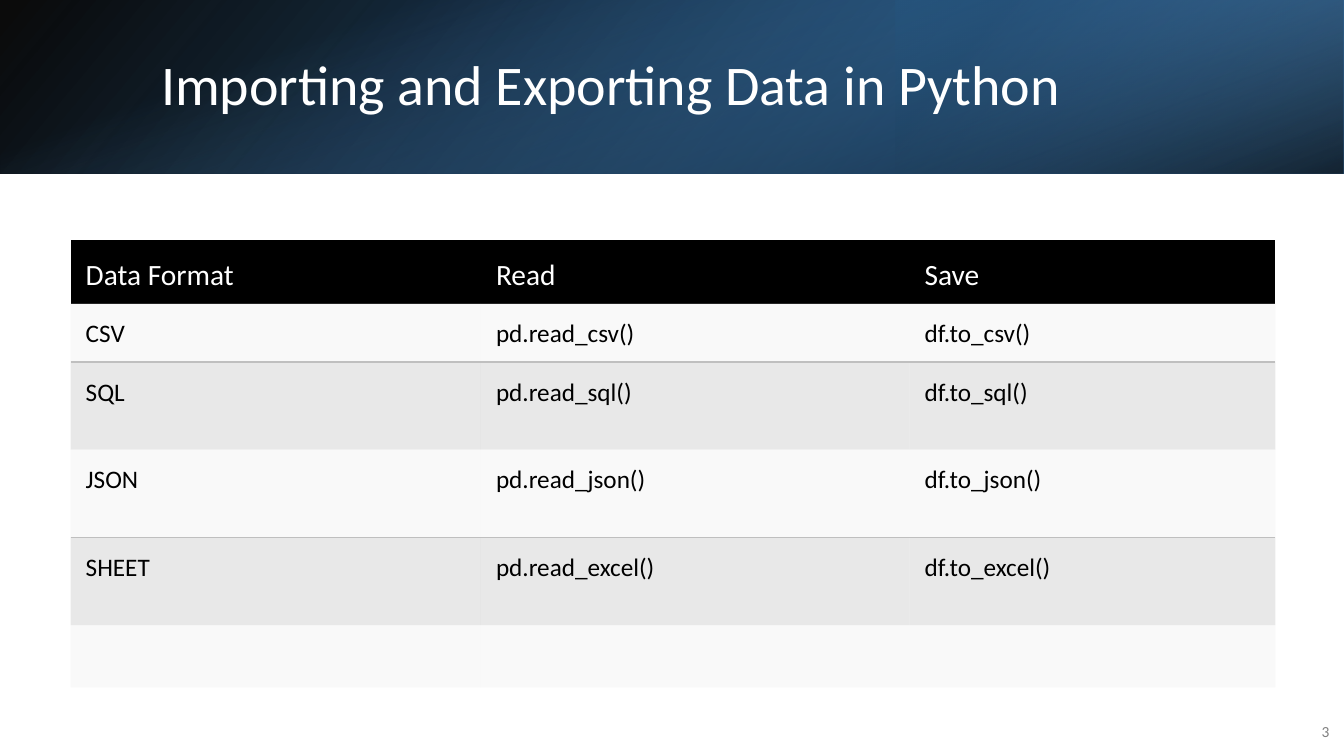
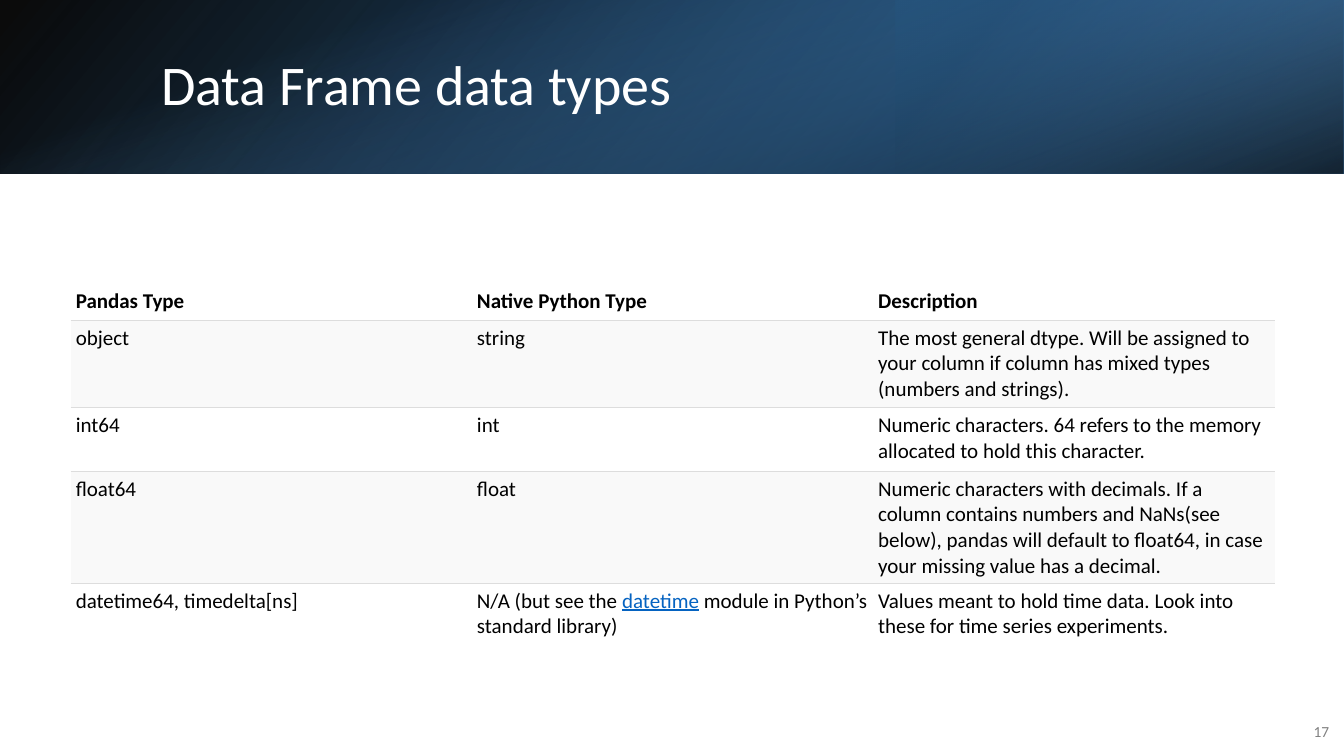
import pptx
import pptx.util
import pptx.dml.color
import pptx.enum.shapes
import pptx.enum.text
import pptx.oxml
import pptx.oxml.ns
from dataclasses import dataclass

Cm, Pt = pptx.util.Cm, pptx.util.Pt
ANCHOR, ALIGN = pptx.enum.text.MSO_ANCHOR, pptx.enum.text.PP_ALIGN


@dataclass(frozen=True)
class Theme:
    """Colours, font and type sizes of the deck."""
    font: str = "Calibri"
    black: str = "000000"
    white: str = "FFFFFF"
    grey: str = "808080"
    link: str = "0563C1"
    title: int = 40
    number: int = 11


T = Theme()
SLIDE_W, SLIDE_H, BAND_H, ACCENT_W = 33.87, 19.05, 4.37, 11.29
TABLE_LEFT = 1.78
NO_STYLE = "{2D5ABB26-0587-4C30-8999-92F81FD0307C}"

# Band layers: left, top, width, height, rotation, flipped, angle, stops (position, colour, alpha)
BAND = [
    (0, 0, SLIDE_W, BAND_H, 0, True, 140, [(0, "000000", 96), (100, "2E75B6", 100)]),
    (SLIDE_W - ACCENT_W, 0, ACCENT_W, BAND_H, 180, True, 320,
     [(19, "1F4E79", 68), (100, "5B9BD5", 79)]),
    ((SLIDE_W - BAND_H) / 2, (BAND_H - SLIDE_W) / 2, BAND_H, SLIDE_W, 90, False, 340,
     [(23, "5B9BD5", 0), (99, "000000", 74)]),
]

# Cells hold a string or a list of (text, is_link) runs; fills are (colour, alpha).
SLIDES = [
    dict(
        title="Importing and Exporting Data in Python", number="3", top=6.05,
        cols=[10.34, 10.8, 9.22], rows=[1.6, 1.47, 2.21, 2.21, 2.21, 1.57],
        pads=(0.38, 0.38, 0.38, 0.18),
        head=dict(size=21, color=T.white, bold=False, fill=("000000", 100), anchor=ANCHOR.MIDDLE),
        size=18, bands=[("F2F2F2", 45), ("BFBFBF", 35)],
        rule=("BFBFBF", 1), ruled=[1, 3],
        cells=[
            ["Data Format", "Read", "Save"],
            ["CSV", "pd.read_csv()", "df.to_csv()"],
            ["SQL", "pd.read_sql()", "df.to_sql()"],
            ["JSON", "pd.read_json()", "df.to_json()"],
            ["SHEET", "pd.read_excel()", "df.to_excel()"],
            ["", "", ""],
        ]),
    dict(
        title="Data Frame data types", number="17", top=7.09,
        cols=[10.11, 10.11, 10.13], rows=[0.97, 2.21, 1.6, 2.82, 1.6],
        pads=(0.13, 0.13, 0.13, 0.13),
        head=dict(size=15, color=T.black, bold=True, fill=("FFFFFF", 100), anchor=ANCHOR.BOTTOM),
        size=15, bands=[("F9F9F9", 100), ("FFFFFF", 100)],
        rule=("DDDDDD", 0.6), ruled=[0, 1, 2, 3],
        cells=[
            ["Pandas Type", "Native Python Type", "Description"],
            ["object", "string",
             "The most general dtype. Will be assigned to your column if column has mixed types "
             "(numbers and strings)."],
            ["int64", "int",
             "Numeric characters. 64 refers to the memory allocated to hold this character."],
            ["float64", "float",
             "Numeric characters with decimals. If a column contains numbers and NaNs(see below), "
             "pandas will default to float64, in case your missing value has a decimal."],
            ["datetime64, timedelta[ns]",
             [("N/A (but see the\u00a0", False), ("datetime", True),
              ("\u00a0module in Python\u2019s standard library)", False)],
             "Values meant to hold time data. Look into these for time series experiments."],
        ]),
]


def rgb(color):
    """Turn a hex string into a colour."""
    return pptx.dml.color.RGBColor.from_string(color)


def xml(body):
    """Build a drawing element from markup that uses the a: prefix."""
    head, rest = body.split(" ", 1)
    return pptx.oxml.parse_xml(f"{head} {pptx.oxml.ns.nsdecls('a')} {rest}")


def fill_xml(color, alpha):
    """Markup of a solid fill with an alpha percentage."""
    return f'<a:solidFill >{color_xml(color, alpha)}</a:solidFill>'


def color_xml(color, alpha):
    """Markup of a colour with an alpha percentage."""
    return f'<a:srgbClr val="{color}"><a:alpha val="{alpha * 1000}"/></a:srgbClr>'


def add_run(p, text, size, color, bold=False, underline=False):
    """Append one styled run to a paragraph."""
    r = p.add_run()
    r.text = text
    r.font.name, r.font.size, r.font.bold = T.font, Pt(size), bold
    r.font.underline = underline
    r.font.color.rgb = rgb(color)


def add_label(s, box, text, size, color):
    """Add a one-line text box and return its paragraph."""
    tf = s.shapes.add_textbox(*map(Cm, box)).text_frame
    tf.word_wrap, tf.vertical_anchor = True, ANCHOR.MIDDLE
    p = tf.paragraphs[0]
    add_run(p, text, size, color)
    return p


def add_band(s):
    """Stack the gradient layers of the title band."""
    for left, top, width, height, rotation, flipped, angle, stops in BAND:
        sp = s.shapes.add_shape(pptx.enum.shapes.MSO_SHAPE.RECTANGLE,
                                *map(Cm, (left, top, width, height)))
        sp.shadow.inherit = False
        sp.line.fill.background()
        sp.rotation = rotation
        props = sp._element.spPr
        if flipped:
            props.find(pptx.oxml.ns.qn("a:xfrm")).set("flipH", "1")
        marks = "".join(f'<a:gs pos="{pos * 1000}">{color_xml(color, alpha)}</a:gs>'
                        for pos, color, alpha in stops)
        gradient = xml(f'<a:gradFill rotWithShape="1"><a:gsLst>{marks}</a:gsLst>'
                       f'<a:lin ang="{angle * 60000}" scaled="0"/></a:gradFill>')
        props.find(pptx.oxml.ns.qn("a:prstGeom")).addnext(gradient)


def style_cell(cell, fill, pads, edges, rule):
    """Set the margins, top and bottom edges and fill of a cell."""
    cell.margin_left, cell.margin_top, cell.margin_right, cell.margin_bottom = map(Cm, pads)
    props = cell._tc.get_or_add_tcPr()
    color, width = rule
    for edge, is_ruled in edges.items():
        paint = fill_xml(color, 100) if is_ruled else "<a:noFill/>"
        props.append(xml(f'<a:{edge} w="{Pt(width)}">{paint}</a:{edge}>'))
    props.append(xml(fill_xml(*fill)))


def add_grid(s, d):
    """Add the table of a slide."""
    rows, cols = d["rows"], d["cols"]
    box = (TABLE_LEFT, d["top"], sum(cols), sum(rows))
    table = s.shapes.add_table(len(rows), len(cols), *map(Cm, box)).table
    table.first_row = table.horz_banding = False
    table._tbl.tblPr.find(pptx.oxml.ns.qn("a:tableStyleId")).text = NO_STYLE
    for column, width in zip(table.columns, cols):
        column.width = Cm(width)
    body = dict(size=d["size"], color=T.black, bold=False, anchor=ANCHOR.TOP)
    for i, height in enumerate(rows):
        table.rows[i].height = Cm(height)
        look = d["head"] if i == 0 else dict(body, fill=d["bands"][(i - 1) % 2])
        edges = {"lnT": i - 1 in d["ruled"], "lnB": i in d["ruled"]}
        for j, content in enumerate(d["cells"][i]):
            cell = table.cell(i, j)
            style_cell(cell, look["fill"], d["pads"], edges, d["rule"])
            cell.vertical_anchor = look["anchor"]
            runs = [(content, False)] if isinstance(content, str) else content
            for text, is_link in runs:
                if text:
                    add_run(cell.text_frame.paragraphs[0], text, look["size"],
                            T.link if is_link else look["color"], look["bold"], is_link)


def build_slide(prs, d):
    """Add one slide: band, title, page number and table."""
    s = prs.slides.add_slide(prs.slide_layouts[6])
    add_band(s)
    p = add_label(s, (3.81, 0.97, 27.89, 2.44), d["title"], T.title, T.white)
    p.line_spacing = 0.9
    p = add_label(s, (32.51, 17.93, 1.24, 1.02), d["number"], T.number, T.grey)
    p.alignment, p.space_after = ALIGN.RIGHT, Pt(6)
    add_grid(s, d)


prs = pptx.Presentation()
prs.slide_width, prs.slide_height = Cm(SLIDE_W), Cm(SLIDE_H)
for d in SLIDES:
    build_slide(prs, d)
prs.save("out.pptx")
